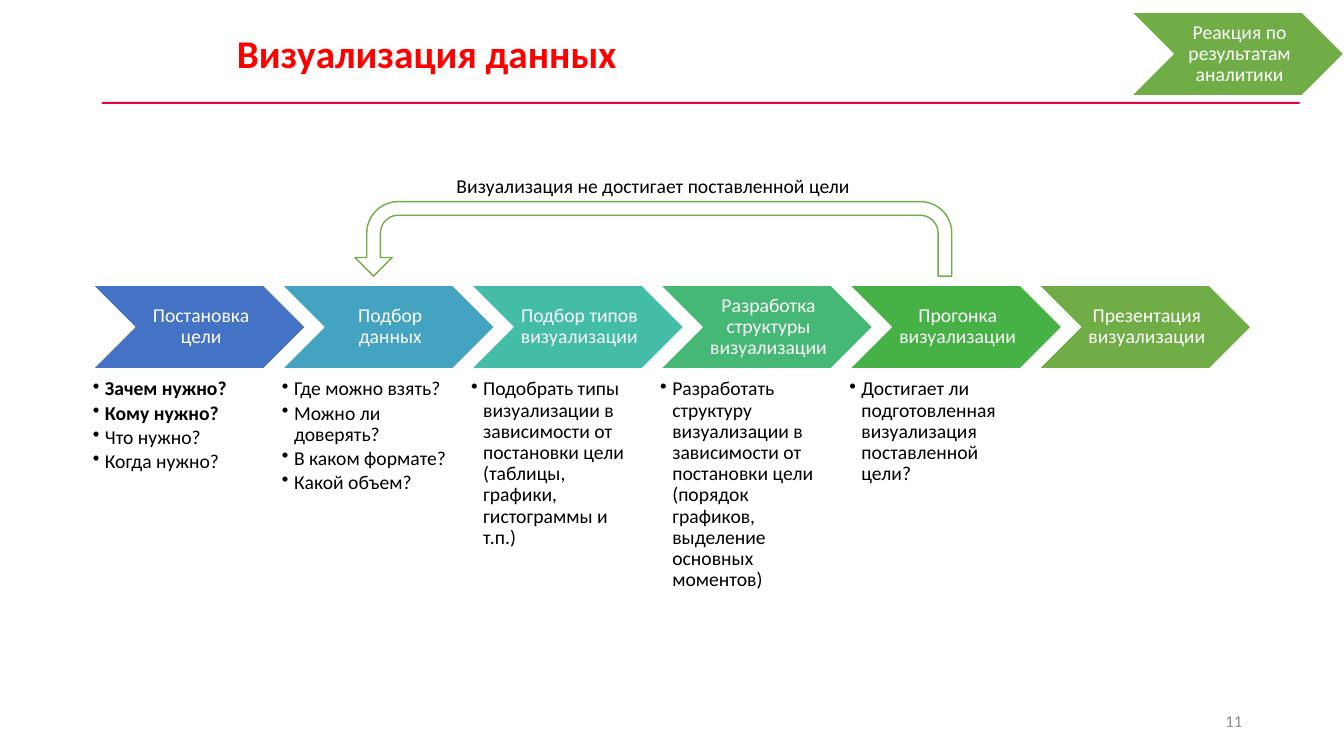
from lxml.etree import SubElement
from pptx import Presentation
from pptx.dml.color import RGBColor
from pptx.enum.shapes import MSO_SHAPE as Shape
from pptx.enum.text import MSO_ANCHOR as Anchor, MSO_AUTO_SIZE as AutoSize, PP_ALIGN as Align
from pptx.oxml.ns import qn
from pptx.util import Inches, Pt

RED = RGBColor(0xFF, 0x00, 0x00)
CRIMSON = RGBColor(0xE2, 0x04, 0x43)
GRAY = RGBColor(0x8C, 0x8C, 0x8C)
BLACK = RGBColor(0x00, 0x00, 0x00)
WHITE = RGBColor(0xFF, 0xFF, 0xFF)
BLUE = RGBColor(0x44, 0x72, 0xC4)
SKY = RGBColor(0x44, 0xA3, 0xC0)
TEAL = RGBColor(0x43, 0xBD, 0xA7)
MINT = RGBColor(0x44, 0xB8, 0x74)
EMERALD = RGBColor(0x46, 0xB2, 0x46)
GREEN = RGBColor(0x70, 0xAD, 0x47)

TITLE = "Визуализация данных"
REACTION = "Реакция по результатам аналитики"
FEEDBACK = "Визуализация не достигает поставленной цели"
PAGE_NUMBER = "11"
KEY_QUESTIONS = {"Зачем нужно?", "Кому нужно?"}
STEPS = [
    ("Постановка цели", BLUE,
     ["Зачем нужно?", "Кому нужно?", "Что нужно?", "Когда нужно?"]),
    ("Подбор данных", SKY,
     ["Где можно взять?", "Можно ли доверять?", "В каком формате?", "Какой объем?"]),
    ("Подбор типов визуализации", TEAL,
     ["Подобрать типы визуализации в зависимости от постановки цели "
      "(таблицы, графики, гистограммы и т.п.)"]),
    ("Разработка структуры визуализации", MINT,
     ["Разработать структуру визуализации в зависимости от постановки цели "
      "(порядок графиков, выделение основных моментов)"]),
    ("Прогонка визуализации", EMERALD,
     ["Достигает ли подготовленная визуализация поставленной цели?"]),
    ("Презентация визуализации", GREEN, []),
]

STEP_LEFT, STEP_TOP, STEP_PITCH = 0.92, 2.83, 1.876
CHEVRON_WIDTH, CHEVRON_HEIGHT = 2.11, 0.83
DETAIL_TOP, DETAIL_WIDTH, DETAIL_HEIGHT = 3.76, 1.69, 2.16
BULLET_INDENT = Inches(0.12)
ARROW_ADJUSTMENTS = (0.183, 0.25, 0.25, 0.422, 1)


def apply(target, values):
    """Set every attribute named in a dict of values."""
    for name, value in values.items():
        setattr(target, name, value)


def set_margins(frame, left, other):
    """Set the left margin and the three other margins in inches."""
    apply(frame, {"margin_left": Inches(left), "margin_right": Inches(other),
                  "margin_top": Inches(other), "margin_bottom": Inches(other)})


def write(paragraph, text, color, size=14, bold=False, **layout):
    """Fill a paragraph with one formatted run."""
    run = paragraph.add_run()
    run.text = text
    apply(run.font, {"name": "Calibri", "size": Pt(size), "bold": bold})
    run.font.color.rgb = color
    apply(paragraph, layout)


def add_figure(slide, kind, box, fill, line=None):
    """Add a preset shape without shadow."""
    shape = slide.shapes.add_shape(kind, *map(Inches, box))
    shape.shadow.inherit = False
    shape.fill.solid()
    shape.fill.fore_color.rgb = fill
    if line is None:
        shape.line.fill.background()
    else:
        shape.line.color.rgb = line
        shape.line.width = Pt(1)
    return shape


def add_chevron(slide, left, top, text, fill):
    """Add a chevron with a centred caption."""
    box = (left, top, CHEVRON_WIDTH, CHEVRON_HEIGHT)
    frame = add_figure(slide, Shape.CHEVRON, box, fill, WHITE).text_frame
    apply(frame, {"word_wrap": True, "vertical_anchor": Anchor.MIDDLE})
    set_margins(frame, 0.06, 0.02)
    write(frame.paragraphs[0], text, WHITE, alignment=Align.CENTER, line_spacing=0.9)


def add_text_frame(slide, box, **layout):
    """Add a text box and return its frame."""
    frame = slide.shapes.add_textbox(*map(Inches, box)).text_frame
    apply(frame, {"word_wrap": True, **layout})
    return frame


def add_details(slide, left, items):
    """Add the bulleted list under a step."""
    frame = add_text_frame(slide, (left, DETAIL_TOP, DETAIL_WIDTH, DETAIL_HEIGHT))
    set_margins(frame, 0, 0)
    for index, item in enumerate(items):
        paragraph = frame.add_paragraph() if index else frame.paragraphs[0]
        write(paragraph, item, BLACK, bold=item in KEY_QUESTIONS,
              level=1, line_spacing=0.9, space_after=Pt(2.1))
        properties = paragraph._p.get_or_add_pPr()
        properties.set("marL", str(BULLET_INDENT))
        properties.set("indent", str(-BULLET_INDENT))
        SubElement(properties, qn("a:buChar")).set("char", "•")


def add_title(slide):
    """Place the title and the rule under it."""
    title = slide.shapes.title
    apply(title, {"left": Inches(2.25), "top": Inches(0.24),
                  "width": Inches(10.71), "height": Inches(0.57)})
    apply(title.text_frame, {"word_wrap": True, "auto_size": AutoSize.NONE,
                             "vertical_anchor": Anchor.TOP})
    write(title.text_frame.paragraphs[0], TITLE, RED, 28, True, alignment=Align.LEFT)
    add_figure(slide, Shape.RECTANGLE, (1.01, 1.01, 11.88, 0.02), CRIMSON)


def add_feedback(slide):
    """Add the return arrow and its caption."""
    arrow = add_figure(slide, Shape.U_TURN_ARROW, (3.52, 2, 5.92, 0.74), WHITE, GREEN)
    for index, value in enumerate(ARROW_ADJUSTMENTS):
        arrow.adjustments[index] = value
    arrow._element.spPr.find(qn("a:xfrm")).set("flipH", "1")
    frame = add_text_frame(slide, (4.41, 1.68, 4.14, 0.34), word_wrap=False)
    write(frame.paragraphs[0], FEEDBACK, BLACK, alignment=Align.CENTER)


def main():
    """Build the slide and save it."""
    presentation = Presentation()
    presentation.slide_width = Inches(13.33)
    presentation.slide_height = Inches(7.5)
    slide = presentation.slides.add_slide(presentation.slide_layouts[5])
    add_title(slide)
    for index, (name, color, items) in enumerate(STEPS):
        left = STEP_LEFT + index * STEP_PITCH
        add_chevron(slide, left, STEP_TOP, name, color)
        if items:
            add_details(slide, left, items)
    add_feedback(slide)
    add_chevron(slide, 11.22, 0.12, REACTION, GREEN)
    number = add_text_frame(slide, (9.42, 6.95, 3, 0.4), vertical_anchor=Anchor.MIDDLE)
    write(number.paragraphs[0], PAGE_NUMBER, GRAY, 12, alignment=Align.RIGHT)
    presentation.save("out.pptx")


if __name__ == "__main__":
    main()
